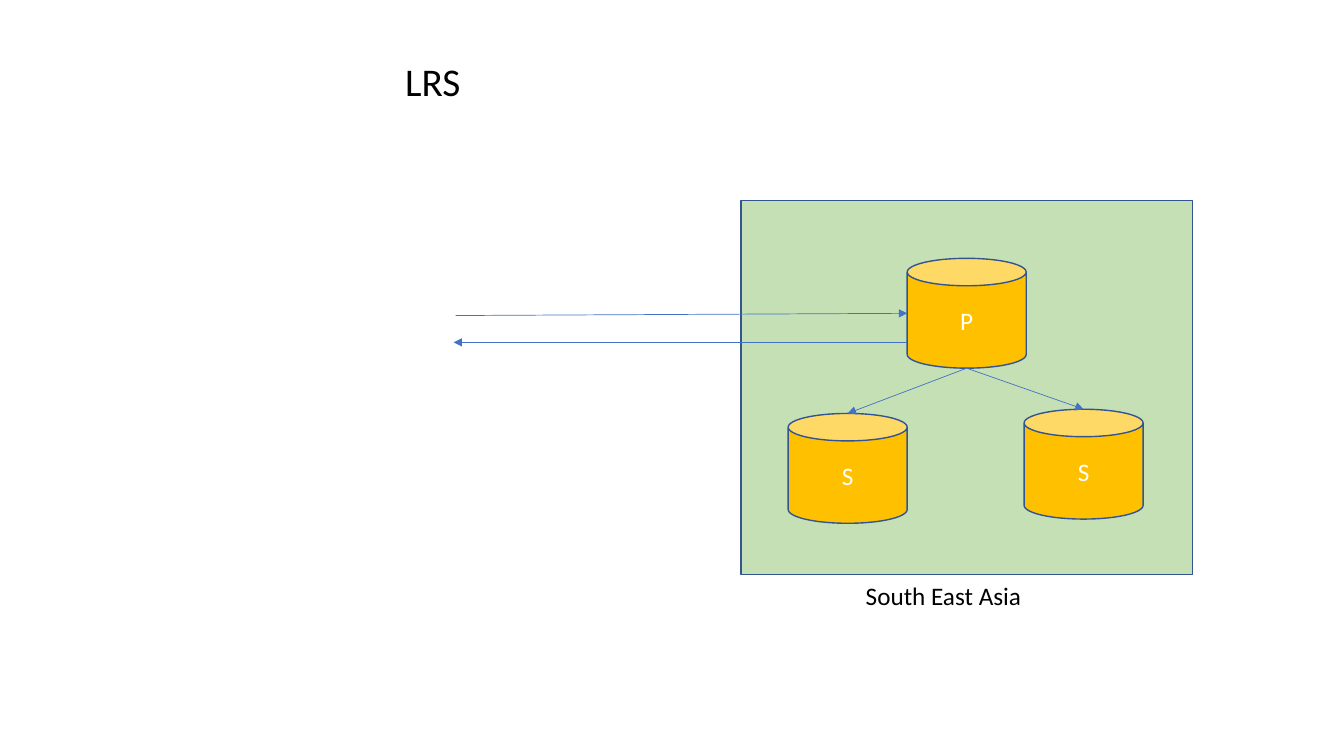
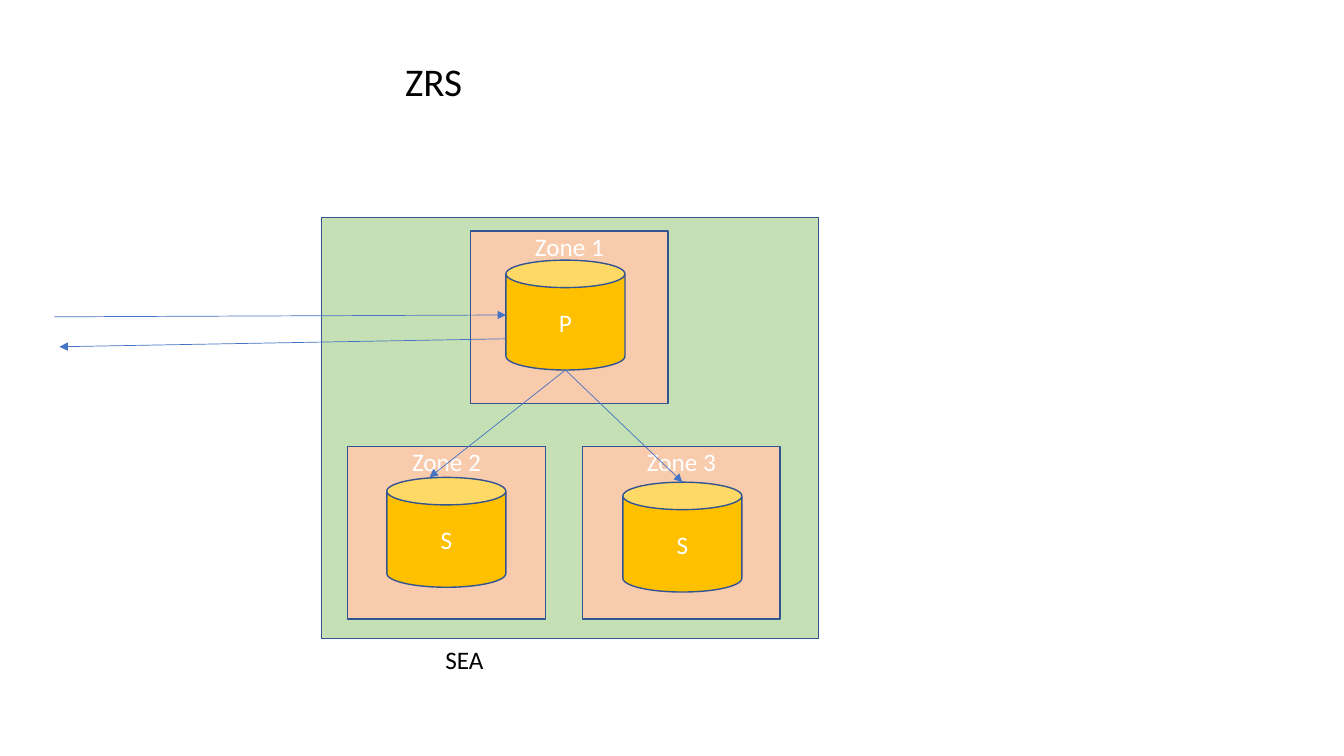
from lxml.etree import SubElement
from pptx import Presentation
from pptx.dml.color import RGBColor
from pptx.enum.shapes import MSO_CONNECTOR, MSO_SHAPE
from pptx.enum.text import MSO_ANCHOR, PP_ALIGN
from pptx.oxml.ns import qn
from pptx.util import Pt

COLORS = {
    "region": "C5E0B4",
    "zone": "F8CBAD",
    "disk": "FFC000",
    "edge": "325491",
    "arrow": "4472C4",
    "dark": "000000",
    "light": "FFFFFF",
}
FONT = "Calibri"
DISK_W, DISK_H = 85, 78.5
ZONE_W, ZONE_H = 141.1, 123.1


def color(name):
    """Look up a palette colour."""
    return RGBColor.from_string(COLORS[name])


def place(shape, left, top, width, height):
    """Move and size a shape, in points."""
    shape.left, shape.top = Pt(left), Pt(top)
    shape.width, shape.height = Pt(width), Pt(height)


def write(shape, text, size, tint, align, anchor):
    """Put one line of formatted text in a shape."""
    frame = shape.text_frame
    frame.text = text
    frame.word_wrap = True
    frame.vertical_anchor = anchor
    line = frame.paragraphs[0]
    line.alignment = align
    font = line.runs[0].font
    font.name, font.size = FONT, Pt(size)
    font.color.rgb = color(tint)


def add_page(deck, title):
    """Add a slide with its title."""
    slide = deck.slides.add_slide(deck.slide_layouts.get_by_name("Title Only"))
    head = slide.shapes.title
    place(head, 282.2, 37.4, 372.2, 41.2)
    write(head, title, 28, "dark", PP_ALIGN.LEFT, MSO_ANCHOR.TOP)
    return slide


def add_block(slide, kind, fill, left, top, width, height):
    """Add a filled, outlined shape."""
    block = slide.shapes.add_shape(
        kind, Pt(left), Pt(top), Pt(width), Pt(height))
    block.shadow.inherit = False
    block.fill.solid()
    block.fill.fore_color.rgb = color(fill)
    block.line.color.rgb = color("edge")
    block.line.width = Pt(1)
    return block


def add_region(slide, left, top, width, height):
    """Add the green region behind the disks."""
    add_block(slide, MSO_SHAPE.RECTANGLE, "region", left, top, width, height)


def add_label(slide, text, left, top):
    """Add the name below a region."""
    box = slide.shapes.add_textbox(Pt(left), Pt(top), Pt(172.1), Pt(29))
    write(box, text, 18, "dark", PP_ALIGN.LEFT, MSO_ANCHOR.TOP)


def add_zone(slide, text, left, top):
    """Add a zone with its name at the top edge."""
    zone = add_block(slide, MSO_SHAPE.RECTANGLE, "zone",
                     left, top, ZONE_W, ZONE_H)
    write(zone, text, 18, "light", PP_ALIGN.CENTER, MSO_ANCHOR.TOP)
    zone.text_frame.margin_top = Pt(0)


def add_disk(slide, text, left, top):
    """Add a storage disk."""
    disk = add_block(slide, MSO_SHAPE.CAN, "disk", left, top, DISK_W, DISK_H)
    write(disk, text, 18, "light", PP_ALIGN.CENTER, MSO_ANCHOR.MIDDLE)


def add_arrow(slide, start, end):
    """Add a thin arrow between two points."""
    arrow = slide.shapes.add_connector(
        MSO_CONNECTOR.STRAIGHT, *(Pt(n) for n in start + end))
    arrow.line.color.rgb = color("arrow")
    arrow.line.width = Pt(0.5)
    SubElement(arrow.line._get_or_add_ln(), qn("a:tailEnd"), type="triangle")
    SubElement(arrow._element.spPr, qn("a:effectLst"))


def add_store(slide, main_disk, copies, shift=0):
    """Add the primary disk and its copies, with arrows down to them.

    The first arrow tip is moved sideways by shift.
    """
    left, top = main_disk
    add_disk(slide, "P", left, top)
    for x, y in copies:
        add_disk(slide, "S", x, y)
    foot = (left + DISK_W / 2, top + DISK_H)
    for (x, y), move in zip(copies, (shift, 0)):
        add_arrow(slide, foot, (x + DISK_W / 2 + move, y))


def add_lrs(deck):
    """Build the slide with all disks in one place."""
    slide = add_page(deck, "LRS")
    add_region(slide, 529.2, 143.3, 322.6, 267.1)
    add_label(slide, "South East Asia", 611.3, 411.1)
    add_store(slide, (648, 184.5), [(563, 295.3), (731.5, 292.3)])
    add_arrow(slide, (325.4, 225.4), (648, 223.8))
    add_arrow(slide, (648, 244.6), (324, 244.6))


def add_zrs(deck):
    """Build the slide with one disk in each zone."""
    slide = add_page(deck, "ZRS")
    add_region(slide, 229.5, 155.5, 355, 300.7)
    add_label(slide, "SEA", 311, 456.5)
    spots = [(336.2, 165), (248.4, 319), (416.2, 319)]
    for number, (left, top) in enumerate(spots, 1):
        add_zone(slide, f"Zone {number}", left, top)
    add_store(slide, (361.4, 185.8), [(276.3, 341), (444.9, 344.4)], -12)
    add_arrow(slide, (38.9, 226.3), (361.4, 225))
    add_arrow(slide, (361.4, 242), (42.5, 247.7))


def main():
    """Build and save the deck."""
    deck = Presentation()
    deck.slide_width, deck.slide_height = Pt(960), Pt(540)
    add_lrs(deck)
    add_zrs(deck)
    deck.save("out.pptx")


main()
